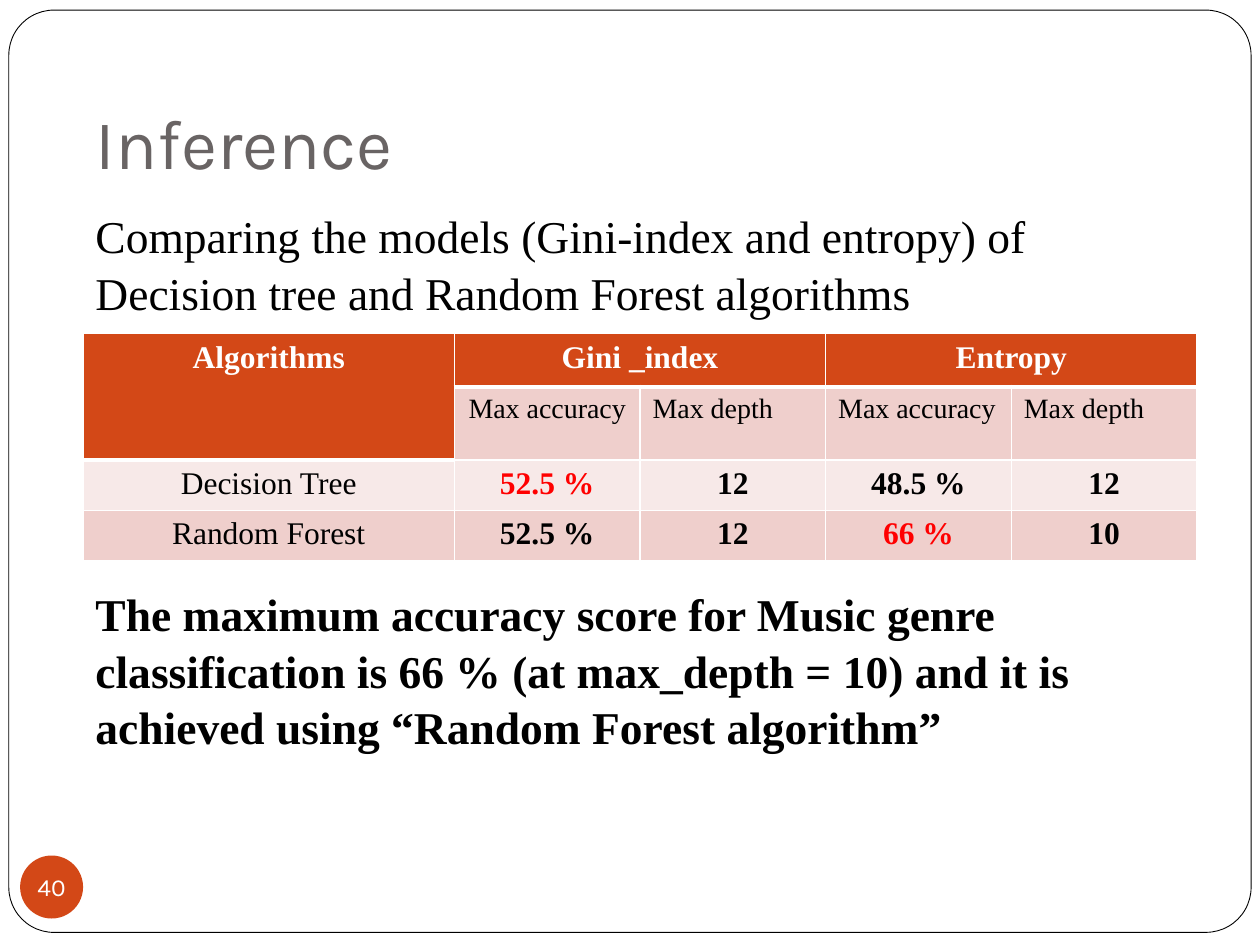
import pptx
import pptx.util
import pptx.dml.color
import pptx.enum.shapes
import pptx.enum.text
import pptx.oxml
import pptx.oxml.ns
from dataclasses import dataclass

Inches, Pt = pptx.util.Inches, pptx.util.Pt
ALIGN = pptx.enum.text.PP_ALIGN
ANCHOR = pptx.enum.text.MSO_ANCHOR
SHAPES = pptx.enum.shapes.MSO_SHAPE

WIDTH, HEIGHT = 10, 7.5
MARGIN, CONTENT_WIDTH = 0.66, 8.84


@dataclass(frozen=True)
class Theme:
    heading_font: str = "Karla"
    body_font: str = "Times New Roman"
    title_size: int = 40
    body_size: int = 26
    table_size: int = 18
    label_size: int = 16
    number_size: int = 14
    white: str = "FFFFFF"
    black: str = "000000"
    grey: str = "696464"
    accent: str = "D34817"
    highlight: str = "FF0000"
    band_dark: str = "EFCFCC"
    band_light: str = "F7E9E8"


THEME = Theme()


def rgb(color):
    return pptx.dml.color.RGBColor.from_string(color)


def add_run(paragraph, text, size, color, font=THEME.body_font, bold=False):
    run = paragraph.add_run()
    run.text = text
    run.font.name, run.font.size, run.font.bold = font, Pt(size), bold
    run.font.color.rgb = rgb(color)


def add_text(slide, box, text, anchor=ANCHOR.TOP, bottom=0.05, line_spacing=None, **style):
    frame = slide.shapes.add_textbox(*map(Inches, box)).text_frame
    frame.word_wrap = True
    frame.vertical_anchor = anchor
    frame.margin_bottom = Inches(bottom)
    paragraph = frame.paragraphs[0]
    paragraph.line_spacing = line_spacing
    add_run(paragraph, text, **style)


def add_shape(slide, kind, box, fill):
    shape = slide.shapes.add_shape(kind, *map(Inches, box))
    shape.shadow.inherit = False
    shape.fill.solid()
    shape.fill.fore_color.rgb = rgb(fill)
    return shape


def add_frame(slide, box):
    frame = add_shape(slide, SHAPES.ROUNDED_RECTANGLE, box, THEME.white)
    frame.adjustments[0] = 0.049
    frame.line.color.rgb = rgb(THEME.black)
    frame.line.width = Pt(0.5)


def add_slide_number(slide, box, number):
    badge = add_shape(slide, SHAPES.OVAL, box, THEME.accent)
    badge.line.fill.background()
    frame = badge.text_frame
    frame.margin_left = frame.margin_right = frame.margin_top = frame.margin_bottom = 0
    frame.word_wrap = False
    frame.vertical_anchor = ANCHOR.MIDDLE
    paragraph = frame.paragraphs[0]
    paragraph.alignment = ALIGN.CENTER
    add_run(paragraph, number, THEME.number_size, THEME.white, THEME.heading_font)


def set_borders(cell, bottom_width):
    properties = cell._tc.get_or_add_tcPr()
    widths = {"lnL": 1, "lnR": 1, "lnT": 1, "lnB": bottom_width}
    for index, (side, width) in enumerate(widths.items()):
        properties.insert(index, pptx.oxml.parse_xml(
            f'<a:{side} {pptx.oxml.ns.nsdecls("a")} w="{Pt(width)}"><a:solidFill>'
            f'<a:srgbClr val="{THEME.white}"/></a:solidFill></a:{side}>'))


def fill_cell(cell, text, fill, size, color, bold, alignment=ALIGN.CENTER):
    cell.fill.solid()
    cell.fill.fore_color.rgb = rgb(fill)
    if text:
        paragraph = cell.text_frame.paragraphs[0]
        paragraph.alignment = alignment
        add_run(paragraph, text, size, color, bold=bold)


def add_results_table(slide, box):
    left, top, width, height = box
    rows = [
        ["Algorithms", "Gini _index", "", "Entropy", ""],
        ["", "Max accuracy", "Max depth", "Max accuracy", "Max depth"],
        ["Decision Tree", "52.5 %", "12", "48.5 %", "12"],
        ["Random Forest", "52.5 %", "12", "66 %", "10"],
    ]
    best = {(2, 1), (3, 3)}
    bands = [THEME.accent, THEME.band_dark, THEME.band_light, THEME.band_dark]
    table = slide.shapes.add_table(4, 5, *map(Inches, box)).table

    # The first column is twice as wide as each measure
    for column, share in zip(table.columns, (2, 1, 1, 1, 1)):
        column.width = Inches(width * share / 6)
    for row, share in zip(table.rows, (0.24, 0.33, 0.215, 0.215)):
        row.height = Inches(height * share)

    # Spanning header cells
    table.cell(0, 0).merge(table.cell(1, 0))
    for column in (1, 3):
        table.cell(0, column).merge(table.cell(0, column + 1))

    for r, texts in enumerate(rows):
        for c, text in enumerate(texts):
            cell = table.cell(r, c)
            header = r == 0 or (r == 1 and c == 0)
            if header:
                fill_cell(cell, text, THEME.accent, THEME.table_size, THEME.white, True)
            elif r == 1:
                alignment = ALIGN.CENTER if c == 1 else ALIGN.LEFT
                fill_cell(cell, text, bands[r], THEME.label_size, THEME.black, False, alignment)
            else:
                color = THEME.highlight if (r, c) in best else THEME.black
                fill_cell(cell, text, bands[r], THEME.table_size, color, c > 0)
            set_borders(cell, 3 if header else 1)


def add_inference(slide, box):
    left, top, width, height = box
    body = dict(size=THEME.body_size, color=THEME.black, line_spacing=1.04)

    # Title
    add_text(slide, (left, top, width, height * 0.2), "Inference", ANCHOR.BOTTOM, 0.1,
             size=THEME.title_size, color=THEME.grey, font=THEME.heading_font)
    # Comparison and its table
    add_text(slide, (left, top + height * 0.205, width, height * 0.16),
             "Comparing the models (Gini-index and entropy) of Decision tree "
             "and Random Forest algorithms", **body)
    add_results_table(slide, (left, top + height * 0.374, width, height * 0.28))
    # Conclusion
    add_text(slide, (left, top + height * 0.682, width, height * 0.22),
             "The maximum accuracy score for Music genre classification is 66 % "
             "(at max_depth = 10) and it is achieved using “Random Forest algorithm”",
             bold=True, **body)


def main():
    presentation = pptx.Presentation()
    presentation.slide_width, presentation.slide_height = Inches(WIDTH), Inches(HEIGHT)
    slide = presentation.slides.add_slide(presentation.slide_layouts[6])
    add_frame(slide, (0.07, 0.08, 9.86, 7.32))
    add_inference(slide, (MARGIN, 0.3, CONTENT_WIDTH, 6.28))
    add_slide_number(slide, (0.16, 6.79, 0.5, 0.5), "40")
    presentation.save("out.pptx")


if __name__ == "__main__":
    main()
